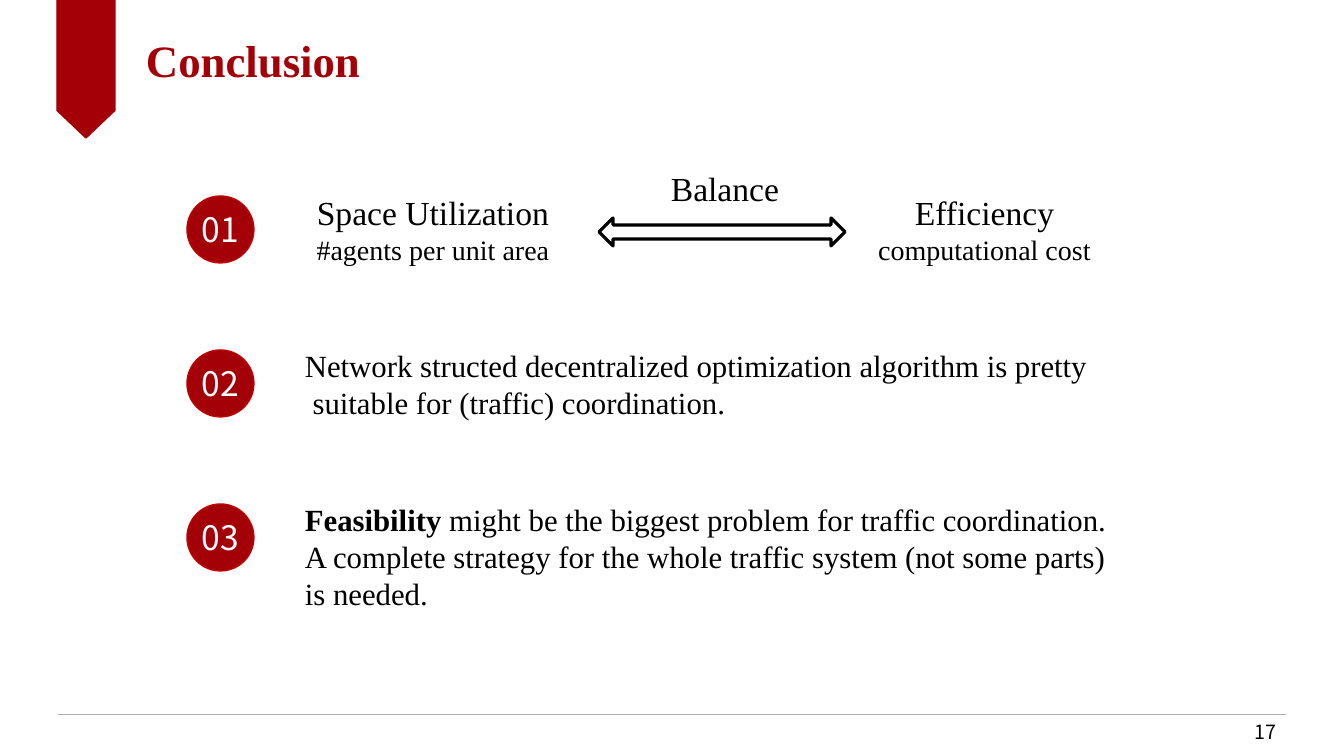
from dataclasses import dataclass

from lxml import etree
from pptx import Presentation
from pptx.dml.color import RGBColor
from pptx.enum.shapes import MSO_CONNECTOR, MSO_SHAPE
from pptx.enum.text import MSO_ANCHOR, PP_ALIGN
from pptx.oxml.ns import qn
from pptx.util import Emu, Pt

EMU_PER_PX = 914400 / 100.8
LEFT, CENTER, RIGHT = PP_ALIGN.LEFT, PP_ALIGN.CENTER, PP_ALIGN.RIGHT
MIDDLE = MSO_ANCHOR.MIDDLE
RIBBON = MSO_SHAPE.FLOWCHART_OFFPAGE_CONNECTOR
CIRCLE, DOUBLE_ARROW = MSO_SHAPE.OVAL, MSO_SHAPE.LEFT_RIGHT_ARROW
STRAIGHT = MSO_CONNECTOR.STRAIGHT


@dataclass(frozen=True)
class Theme:
    red: str = "A40008"
    badge_edge: str = "C00000"
    rule: str = "AFABAB"
    black: str = "000000"
    white: str = "FFFFFF"
    serif: str = "Times New Roman"
    sans: str = "Noto Sans CJK SC"
    title: int = 32
    heading: int = 24
    body: int = 22
    detail: int = 20
    page_number: int = 14


THEME = Theme()


@dataclass(frozen=True)
class Box:
    left: int
    top: int
    width: int
    height: int

    def emu(self) -> list[Emu]:
        return [px(n) for n in (self.left, self.top, self.width, self.height)]


@dataclass(frozen=True)
class Run:
    text: str
    size: int
    bold: bool = False


@dataclass(frozen=True)
class TextBlock:
    """A text box; each inner list of runs is one paragraph."""
    box: Box
    paragraphs: list[list[Run]]
    align: PP_ALIGN = LEFT
    font: str = THEME.serif
    color: str = THEME.black


BADGE_LEFT, BADGE_TOP, BADGE_STEP, BADGE_SIZE = 187, 196, 154, 67
BADGE_LABELS = ["01", "02", "03"]

TEXT_BLOCKS = [
    TextBlock(Box(1239, 715, 47, 34), [[Run("17", THEME.page_number)]],
              align=RIGHT, font=THEME.sans),
    TextBlock(Box(136, 28, 605, 65), [[Run("Conclusion", THEME.title, True)]],
              color=THEME.red),
    TextBlock(Box(661, 163, 137, 50), [[Run("Balance", THEME.heading)]]),
    TextBlock(Box(267, 187, 332, 85),
              [[Run("Space Utilization", THEME.heading)],
               [Run("#agents per unit area", THEME.detail)]], align=CENTER),
    TextBlock(Box(833, 187, 303, 85),
              [[Run("Efficiency", THEME.heading)],
               [Run("computational cost", THEME.detail)]], align=CENTER),
    TextBlock(Box(295, 342, 809, 85),
              [[Run("Network structed decentralized optimization algorithm is "
                    "pretty  suitable for (traffic) coordination.", THEME.body)]]),
    TextBlock(Box(295, 496, 833, 122),
              [[Run("Feasibility", THEME.body, True),
                Run(" might be the biggest problem for traffic coordination. "
                    "A complete strategy for the whole traffic system "
                    "(not some parts) is needed.", THEME.body)]]),
]


def px(length: int) -> Emu:
    return Emu(round(length * EMU_PER_PX))


def rgb(color: str) -> RGBColor:
    return RGBColor.from_string(color)


def write_text(paragraph, text: str, *, size: int, font: str, color: str,
               bold: bool = False, align: PP_ALIGN = LEFT) -> None:
    """Append one formatted run to the paragraph."""
    paragraph.alignment = align
    run = paragraph.add_run()
    run.text = text
    run.font.size = Pt(size)
    run.font.name = font
    run.font.bold = bold
    run.font.color.rgb = rgb(color)
    east_asian = etree.SubElement(run.font._element, qn("a:ea"))
    east_asian.set("typeface", font)


def add_text_block(slide, block: TextBlock) -> None:
    frame = slide.shapes.add_textbox(*block.box.emu()).text_frame
    frame.word_wrap = True
    for index, runs in enumerate(block.paragraphs):
        paragraph = frame.add_paragraph() if index else frame.paragraphs[0]
        for run in runs:
            write_text(paragraph, run.text, size=run.size, bold=run.bold,
                       font=block.font, color=block.color, align=block.align)


def add_figure(slide, kind: MSO_SHAPE, box: Box, *, line: str,
               line_width: float = 1, fill: str | None = None):
    shape = slide.shapes.add_shape(kind, *box.emu())
    shape.shadow.inherit = False
    if fill:
        shape.fill.solid()
        shape.fill.fore_color.rgb = rgb(fill)
    else:
        shape.fill.background()
    shape.line.color.rgb = rgb(line)
    shape.line.width = Pt(line_width)
    return shape


def add_badge(slide, label: str, row: int) -> None:
    box = Box(BADGE_LEFT, BADGE_TOP + row * BADGE_STEP, BADGE_SIZE, BADGE_SIZE)
    badge = add_figure(slide, CIRCLE, box, line=THEME.badge_edge, fill=THEME.red)
    frame = badge.text_frame
    frame.word_wrap = False
    frame.vertical_anchor = MIDDLE
    write_text(frame.paragraphs[0], label, size=THEME.heading, font=THEME.sans,
               color=THEME.white, align=CENTER)


def add_footer_rule(slide) -> None:
    rule = slide.shapes.add_connector(STRAIGHT, px(58), px(714), px(1286), px(714))
    rule.line.color.rgb = rgb(THEME.rule)
    rule.line.width = Pt(0.5)
    etree.SubElement(rule._element.spPr, qn("a:effectLst"))


def main() -> None:
    presentation = Presentation()
    presentation.slide_width, presentation.slide_height = px(1344), px(756)
    slide = presentation.slides.add_slide(presentation.slide_layouts[6])
    add_figure(slide, RIBBON, Box(57, 0, 58, 138), line=THEME.red, fill=THEME.red)
    add_footer_rule(slide)
    add_figure(slide, DOUBLE_ARROW, Box(599, 218, 246, 28),
               line=THEME.black, line_width=2.25)
    for block in TEXT_BLOCKS:
        add_text_block(slide, block)
    for row, label in enumerate(BADGE_LABELS):
        add_badge(slide, label, row)
    presentation.save("out.pptx")


if __name__ == "__main__":
    main()
